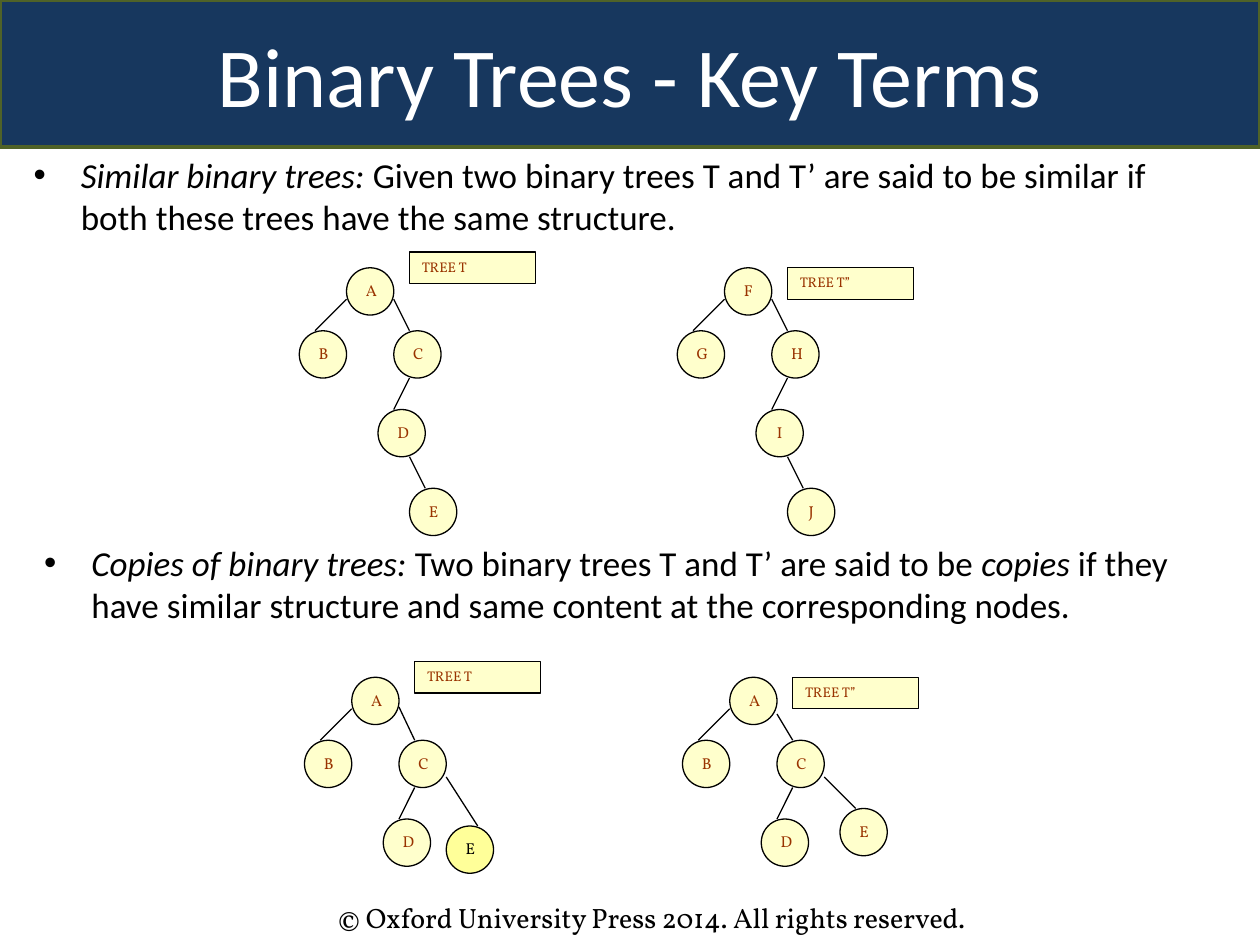
from dataclasses import dataclass

from lxml import etree
from pptx import Presentation
from pptx import util as u
from pptx.dml.color import RGBColor
from pptx.enum import shapes, text
from pptx.oxml.ns import qn

Pt = u.Pt


@dataclass(frozen=True)
class Theme:
    navy: str = "17375E"
    olive: str = "4F6228"
    white: str = "FFFFFF"
    black: str = "000000"
    cream: str = "FFFFCC"
    yellow: str = "FFFF99"
    rust: str = "993300"
    sans: str = "Calibri"
    serif: str = "Vollkorn"
    title: int = 48
    body: int = 20
    footer: int = 16
    node: int = 9
    label: int = 8


THEME = Theme()
NODE = 27  # diameter of a tree node


def rgb(value):
    return RGBColor.from_string(value)


def place(part, left, top, width, height):
    part.left, part.top = Pt(left), Pt(top)
    part.width, part.height = Pt(width), Pt(height)


def paint(part, fill, line, weight):
    part.fill.solid()
    part.fill.fore_color.rgb = rgb(fill)
    part.line.color.rgb = rgb(line)
    part.line.width = Pt(weight)


def add_run(paragraph, words, font, size, color, italic=False):
    run = paragraph.add_run()
    run.text = words
    run.font.name, run.font.size = font, Pt(size)
    run.font.color.rgb = rgb(color)
    run.font.italic = italic


# Title band across the top
def title_band(title, words, box):
    place(title, *box)
    paint(title, THEME.navy, THEME.olive, 2)
    title.text_frame.auto_size = text.MSO_AUTO_SIZE.NONE
    title.text_frame.vertical_anchor = text.MSO_ANCHOR.MIDDLE
    paragraph = title.text_frame.paragraphs[0]
    paragraph.alignment = text.PP_ALIGN.CENTER
    add_run(paragraph, words, THEME.sans, THEME.title, THEME.white)


# Bulleted definition; phrases are (words, italic) pairs
def definition(body, phrases, box):
    place(body, *box)
    body.text_frame.auto_size = text.MSO_AUTO_SIZE.NONE
    body.text_frame.vertical_anchor = text.MSO_ANCHOR.TOP
    paragraph = body.text_frame.paragraphs[0]
    properties = paragraph._p.get_or_add_pPr()
    properties.set("marL", str(Pt(27)))
    properties.set("indent", str(Pt(-27)))
    etree.SubElement(properties, qn("a:buChar")).set("char", "•")
    paragraph.space_before = Pt(0)
    for words, italic in phrases:
        add_run(paragraph, words, THEME.sans, THEME.body, THEME.black, italic)


def add_branch(slide, x1, y1, x2, y2):
    branch = slide.shapes.add_connector(
        shapes.MSO_CONNECTOR.STRAIGHT, Pt(x1), Pt(y1), Pt(x2), Pt(y2))
    branch.line.color.rgb = rgb(THEME.black)
    branch.line.width = Pt(0.75)
    etree.SubElement(branch._element.spPr, qn("a:effectLst"))


def add_tag(slide, kind, words, box, size, align, fill, color):
    tag = slide.shapes.add_shape(kind, *map(Pt, box))
    tag.shadow.inherit = False
    paint(tag, fill, THEME.black, 0.75)
    tag.text_frame.vertical_anchor = text.MSO_ANCHOR.TOP
    paragraph = tag.text_frame.paragraphs[0]
    paragraph.alignment = align
    add_run(paragraph, words, THEME.serif, size, color)


# One tree: nodes, branches and label are measured from the root's corner
def tree(slide, origin, name, label_rise, nodes, branches, highlight=None):
    x, y = origin
    for x1, y1, x2, y2 in branches:
        add_branch(slide, x + x1, y + y1, x + x2, y + y2)
    for letter, (dx, dy) in nodes.items():
        marked = letter == highlight
        add_tag(slide, shapes.MSO_SHAPE.OVAL, letter, (x + dx, y + dy, NODE, NODE),
                THEME.node, text.PP_ALIGN.CENTER,
                THEME.yellow if marked else THEME.cream,
                THEME.black if marked else THEME.rust)
    add_tag(slide, shapes.MSO_SHAPE.RECTANGLE, name, (x + 36, y - label_rise, 72, 18),
            THEME.label, text.PP_ALIGN.LEFT, THEME.cream, THEME.rust)


# Two trees of one structure with different letters
def similar_trees(slide, left, top, gap):
    spots = [(0, 0), (-27, 36), (27, 36), (18, 81), (36, 126)]
    branches = [(0, 18, -18, 36), (27, 18, 36, 36), (36, 63, 27, 81), (36, 108, 45, 126)]
    for column, (name, rise, letters) in enumerate(
            [("TREE T", 9, "ABCDE"), ("TREE T”", 0, "FGHIJ")]):
        tree(slide, (left + column * gap, top), name, rise,
             dict(zip(letters, spots)), branches)


# Two trees with the same letters; only the right-hand side differs slightly
def copied_trees(slide, left, top, gap):
    spots = {"A": (0, 0), "B": (-27, 36), "C": (27, 36), "D": (18, 81)}
    shared = [(0, 18, -18, 36), (36, 63, 27, 81)]
    variants = [("TREE T", 9, (54, 85), 17, "E"), ("TREE T”", 0, (63, 75), 21, None)]
    for column, (name, rise, last, start, highlight) in enumerate(variants):
        branches = shared + [(27, start, 36, 36), (54, 57, 72, last[1])]
        tree(slide, (left + column * gap, top), name, rise,
             {**spots, "E": last}, branches, highlight)


def footer(slide, words, box):
    notice = slide.shapes.add_textbox(*map(Pt, box))
    notice.text_frame.word_wrap = True
    add_run(notice.text_frame.paragraphs[0], words,
            THEME.serif, THEME.footer, THEME.black)


def main():
    deck = Presentation()
    deck.slide_width, deck.slide_height = Pt(720), Pt(540)
    slide = deck.slides.add_slide(deck.slide_layouts[3])
    title, similar, copies = slide.placeholders

    footer(slide, "© Oxford University Press 2014. All rights reserved.",
           (186, 511, 426, 27))
    title_band(title, "Binary Trees - Key Terms", (0, 0, 720, 84))
    definition(similar, [
        ("Similar binary trees: ", True),
        ("Given two binary trees T and T’ are said to be similar if both these "
         "trees have the same structure.", False),
    ], (12, 84, 690, 48))
    similar_trees(slide, 198, 153, 216)
    definition(copies, [
        ("Copies of binary trees: ", True),
        ("Two binary trees T and T’ are said to be ", False),
        ("copies ", True),
        ("if they have similar structure and same content at the corresponding "
         "nodes.", False),
    ], (18, 306, 696, 56))
    copied_trees(slide, 201, 387, 216)
    deck.save("out.pptx")


if __name__ == "__main__":
    main()
